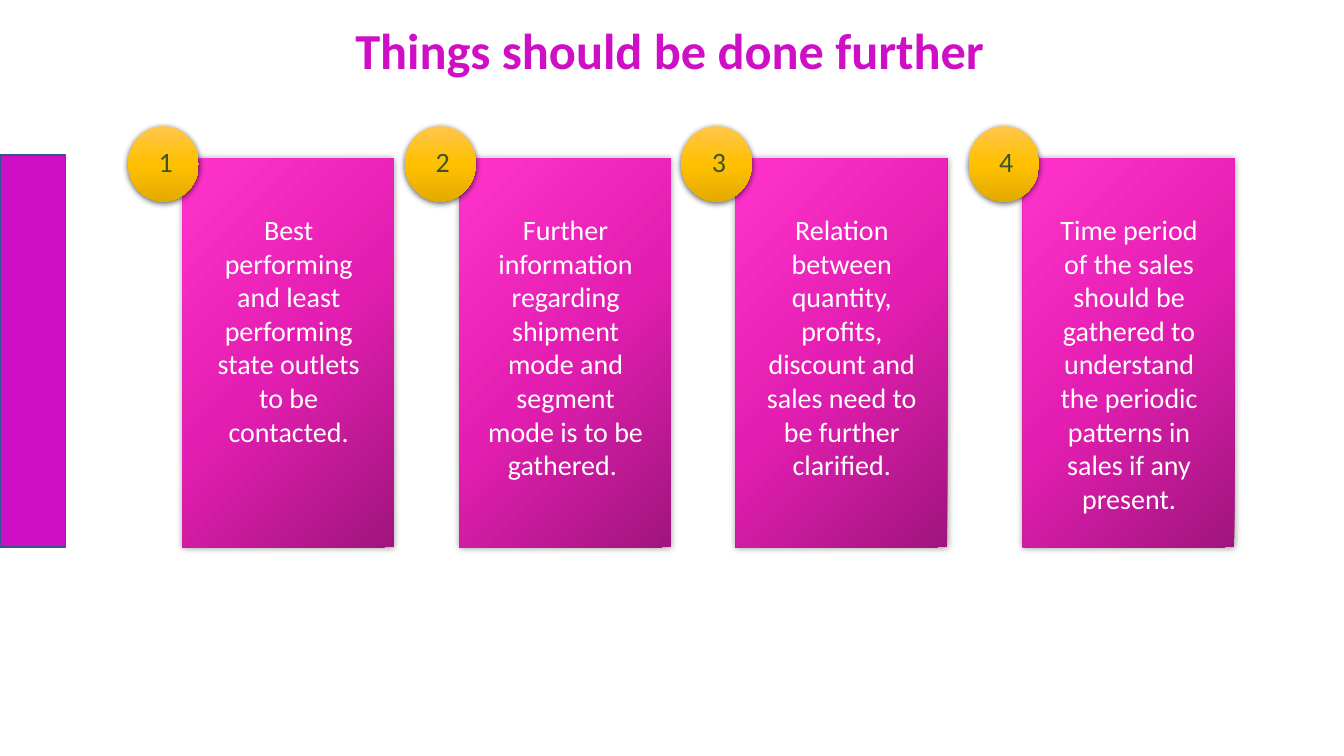
from lxml import etree
from pptx import Presentation
from pptx.dml.color import RGBColor
from pptx.enum import shapes, text
from pptx.oxml import parse_xml
from pptx.oxml.ns import nsdecls
from pptx.util import Cm, Pt

MAGENTA = "CF0FC6"
CARD_STOPS = ("A0157D", "E41EB2", "FF33CC")
BADGE_STOPS = ("FFC64B", "FFC000", "E3AB00")

# Left edge of the card, height of its text, wording
CARDS = [
    (4.6, 6.25, "Best performing and least performing state outlets to be contacted."),
    (11.58, 7.09, "Further information regarding shipment mode and segment mode is to be gathered. "),
    (18.54, 7.09, "Relation between quantity, profits, discount and sales need to be further clarified."),
    (25.78, 7.95, "Time period of the sales should be gathered to understand the periodic "
                  "patterns in sales if any present."),
]


def color(code):
    return RGBColor.from_string(code)


def add_text(page, words, left, top, width, height, size=20, fill="FFFFFF",
             bold=False, align=text.PP_ALIGN.CENTER):
    box = page.shapes.add_textbox(Cm(left), Cm(top), Cm(width), Cm(height))
    frame = box.text_frame
    frame.word_wrap = True
    frame.auto_size = text.MSO_AUTO_SIZE.SHAPE_TO_FIT_TEXT
    para = frame.paragraphs[0]
    para.alignment = align
    span = para.add_run()
    span.text = words
    span.font.name = "Calibri"
    span.font.size = Pt(size)
    span.font.bold = bold
    span.font.color.rgb = color(fill)


def add_side_bar(page):
    bar = page.shapes.add_shape(shapes.MSO_SHAPE.RECTANGLE, 0, Cm(3.91), Cm(1.65), Cm(9.88))
    bar.shadow.inherit = False
    bar.fill.solid()
    bar.fill.fore_color.rgb = color(MAGENTA)
    bar.line.color.rgb = color("325491")
    bar.line.width = Pt(1)


def add_glossy(page, kind, left, top, width, height, stops, angle, blur, drop, opacity):
    """Add an unlined shape with a three-stop gradient and a soft black shadow."""
    shape = page.shapes.add_shape(kind, Cm(left), Cm(top), Cm(width), Cm(height))
    properties = shape.element.spPr
    gradient = parse_xml(f'<a:gradFill {nsdecls("a")} rotWithShape="1"><a:gsLst/>'
                         f'<a:lin ang="{angle * 60000}" scaled="0"/></a:gradFill>')
    for index, code in enumerate(stops):
        stop = etree.SubElement(gradient[0], gradient[0].tag.replace("gsLst", "gs"),
                                pos=str(index * 50000))
        etree.SubElement(stop, stop.tag.replace("}gs", "}srgbClr"), val=code)
    properties.append(gradient)
    shape.line.fill.background()
    properties.append(parse_xml(
        f'<a:effectLst {nsdecls("a")}><a:outerShdw blurRad="{Pt(blur)}" dist="{Pt(drop)}" '
        f'dir="5400000" algn="ctr" rotWithShape="0"><a:srgbClr val="000000">'
        f'<a:alpha val="{opacity * 1000}"/></a:srgbClr></a:outerShdw></a:effectLst>'))


def add_card(page, number, left, text_height, words):
    add_glossy(page, shapes.MSO_SHAPE.RECTANGLE, left, 3.99, 5.33, 9.8,
               CARD_STOPS, angle=225, blur=5, drop=0, opacity=40)
    add_glossy(page, shapes.MSO_SHAPE.OVAL, left - 1.37, 3.18, 1.78, 1.9,
               BADGE_STOPS, angle=90, blur=4.5, drop=1.5, opacity=63)
    add_text(page, str(number), left - 0.85, 3.52, 1.09, 1.11,
             fill="385723", align=text.PP_ALIGN.LEFT)
    add_text(page, words, left + 0.34, 5.23, 4.67, text_height)


def main():
    deck = Presentation()
    deck.slide_width, deck.slide_height = Cm(33.87), Cm(19.05)
    page = deck.slides.add_slide(deck.slide_layouts[6])
    add_side_bar(page)
    for number, (left, text_height, words) in enumerate(CARDS, 1):
        add_card(page, number, left, text_height, words)
    add_text(page, "Things should be done further", -0.05, 0.36, 33.87, 1.8,
             size=36, fill=MAGENTA, bold=True)
    deck.save("out.pptx")


if __name__ == "__main__":
    main()
